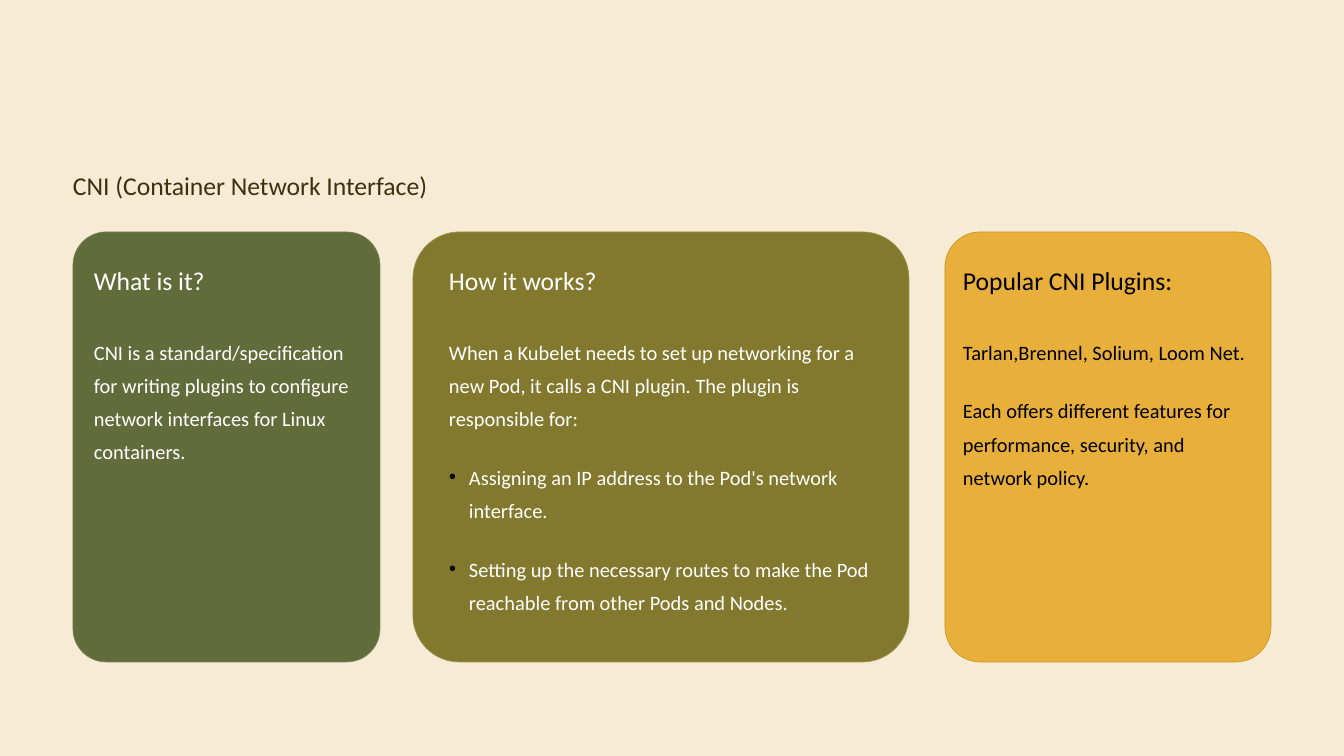
from dataclasses import dataclass

from lxml import etree
from pptx import Presentation
from pptx.dml.color import RGBColor
from pptx.enum.shapes import MSO_SHAPE
from pptx.oxml.ns import qn
from pptx.slide import Slide
from pptx.util import Emu, Pt

ROUNDED = MSO_SHAPE.ROUNDED_RECTANGLE
FONT = "Calibri"
COLORS = {
    "sand": "F6EBD4",
    "brown": "403011",
    "white": "FFFFFF",
    "black": "000000",
    "green": "626C3B",
    "green_edge": "7B8554",
    "olive": "83792E",
    "olive_edge": "9C9247",
    "amber": "E8AF3B",
    "amber_edge": "CE9521",
}
CARD_TOP, CARD_HEIGHT = 232, 430
HEADING_TOP, HEADING_HEIGHT = 264, 49
BODY_TOP, BODY_HEIGHT = 331, 298
BULLET_INDENT = 20


@dataclass(frozen=True)
class TextStyle:
    size: float
    line_spacing: float
    wrap: bool


@dataclass(frozen=True)
class Card:
    left: int
    width: int
    text_left: int
    text_width: int
    color: str
    text_color: str
    heading: str
    paragraphs: tuple[str, ...]
    bullets: tuple[str, ...] = ()


HEADING = TextStyle(22, 27.5, False)
BODY = TextStyle(17.5, 28.5, True)

CARDS = (
    Card(73, 307, 94, 270, "green", "white", "What is it?", (
        "CNI is a standard/specification for writing plugins to configure "
        "network interfaces for Linux containers.",
    )),
    Card(413, 496, 449, 436, "olive", "white", "How it works?", (
        "When a Kubelet needs to set up networking for a new Pod, it calls "
        "a CNI plugin. The plugin is responsible for:",
    ), (
        "Assigning an IP address to the Pod's network interface.",
        "Setting up the necessary routes to make the Pod reachable from "
        "other Pods and Nodes.",
    )),
    Card(945, 326, 963, 289, "amber", "black", "Popular CNI Plugins:", (
        "Tarlan,Brennel, Solium, Loom Net.",
        "Each offers different features for performance, security, and "
        "network policy.",
    )),
)


def px(length: int) -> Emu:
    return Emu(round(length * 914400 / 84))


def rgb(name: str) -> RGBColor:
    return RGBColor.from_string(COLORS[name])


def add_bullet(paragraph) -> None:
    properties = paragraph._p.get_or_add_pPr()
    properties.set("marL", str(px(BULLET_INDENT)))
    properties.set("indent", str(-px(BULLET_INDENT)))
    bullet_color = etree.SubElement(properties, qn("a:buClr"))
    etree.SubElement(bullet_color, qn("a:srgbClr"), val=COLORS["black"])
    etree.SubElement(properties, qn("a:buSzPct"), val="45000")
    etree.SubElement(properties, qn("a:buChar"), char="●")


def add_text(slide: Slide, box: tuple[int, int, int, int], style: TextStyle,
             color: str, paragraphs: tuple[str, ...],
             bullets: tuple[str, ...] = ()) -> None:
    """Write the plain paragraphs, then the bulleted ones, in one text box."""
    frame = slide.shapes.add_textbox(*map(px, box)).text_frame
    frame.margin_left = frame.margin_right = 0
    frame.margin_top = frame.margin_bottom = 0
    frame.word_wrap = style.wrap
    frame.text = "\n".join(paragraphs + bullets)
    for index, paragraph in enumerate(frame.paragraphs):
        paragraph.line_spacing = Pt(style.line_spacing)
        paragraph.space_before = Pt(11.9)
        paragraph.space_after = Pt(9.9)
        if index >= len(paragraphs):
            add_bullet(paragraph)
        for run in paragraph.runs:
            run.font.name = FONT
            run.font.size = Pt(style.size)
            run.font.color.rgb = rgb(color)


def add_card(slide: Slide, card: Card) -> None:
    panel = slide.shapes.add_shape(
        ROUNDED, px(card.left), px(CARD_TOP), px(card.width), px(CARD_HEIGHT))
    panel.adjustments[0] = 0.108
    panel.shadow.inherit = False
    panel.fill.solid()
    panel.fill.fore_color.rgb = rgb(card.color)
    panel.line.color.rgb = rgb(f"{card.color}_edge")
    panel.line.width = Pt(0.6)
    add_text(slide,
             (card.text_left, HEADING_TOP, card.text_width, HEADING_HEIGHT),
             HEADING, card.text_color, (card.heading,))
    add_text(slide, (card.text_left, BODY_TOP, card.text_width, BODY_HEIGHT),
             BODY, card.text_color, card.paragraphs, card.bullets)


def main() -> None:
    deck = Presentation()
    deck.slide_width, deck.slide_height = px(1344), px(756)
    slide = deck.slides.add_slide(deck.slide_layouts[6])
    slide.background.fill.solid()
    slide.background.fill.fore_color.rgb = rgb("sand")
    add_text(slide, (73, 169, 417, 33), HEADING, "brown",
             ("CNI (Container Network Interface)",))
    for card in CARDS:
        add_card(slide, card)
    deck.save("out.pptx")


if __name__ == "__main__":
    main()
